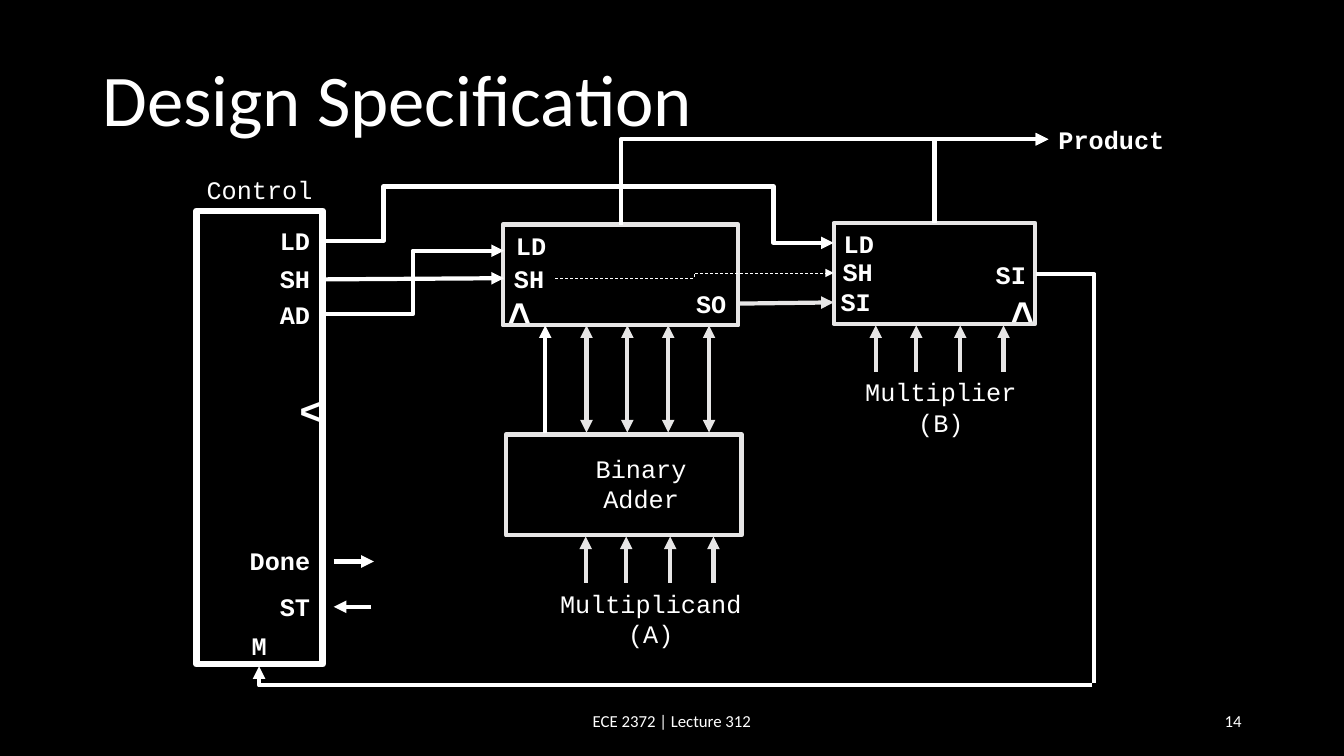
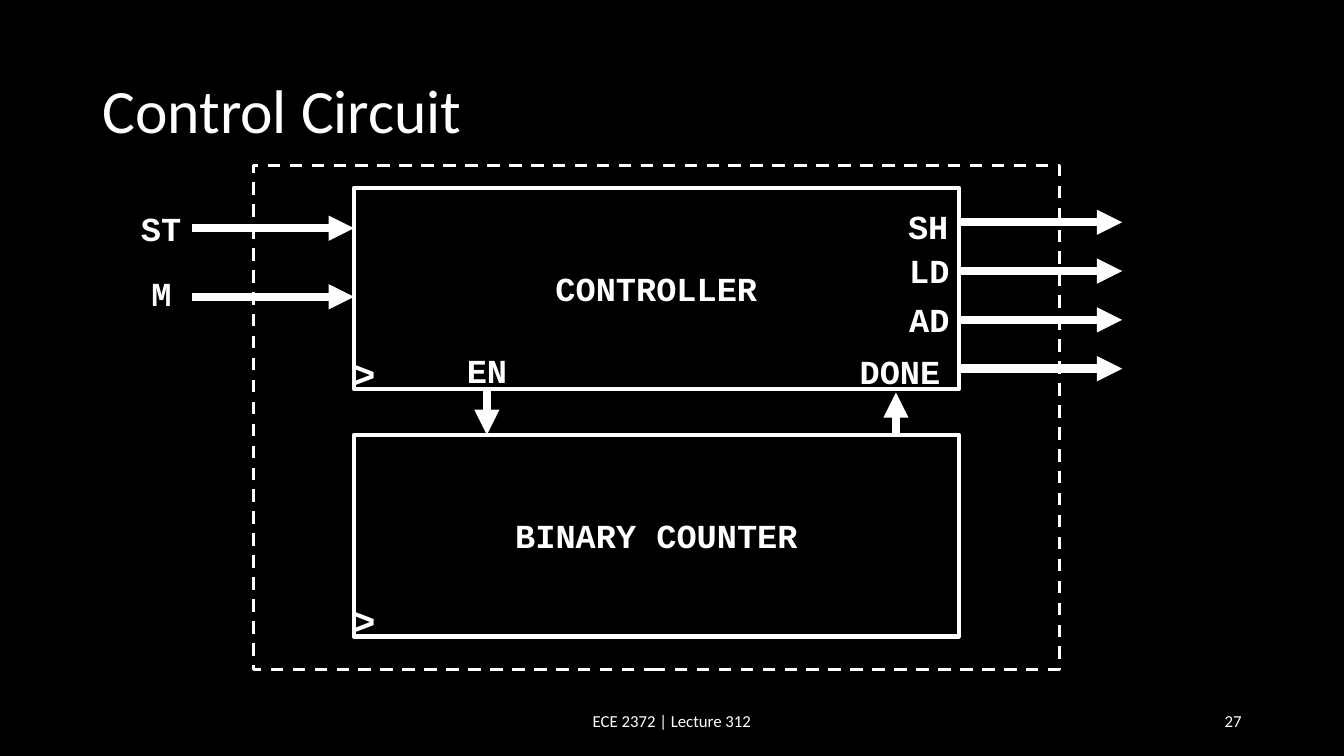
import pptx
import pptx.dml.color
import pptx.enum.dml
import pptx.enum.shapes
import pptx.enum.text
import pptx.oxml.ns
import pptx.util
from lxml import etree

Cm, Pt = pptx.util.Cm, pptx.util.Pt
qn = pptx.oxml.ns.qn
ALIGN = pptx.enum.text.PP_ALIGN
ANCHOR = pptx.enum.text.MSO_ANCHOR
DASH = pptx.enum.dml.MSO_LINE.DASH
KIND = pptx.enum.shapes.MSO_CONNECTOR

BLACK, WHITE, GREY = "000000", "FFFFFF", "E7E6E6"
SANS, MONO = "Calibri", "Courier New"
FOOTER = "ECE 2372 | Lecture 312"
PIN = {"size": Pt(18), "bold": True}
CAPTION = {"size": Pt(18), "bold": False}
BIG = {"size": Pt(24), "bold": True}
CLOCK = {"size": Pt(28), "bold": True}


def rgb(value):
    return pptx.dml.color.RGBColor.from_string(value)


def apply(obj, values):
    for name, value in values.items():
        setattr(obj, name, value)


# Shared text, box and wire helpers; lengths in centimetres
def text_box(s, text, x, y, w, h, font, para, frame):
    sp = s.shapes.add_textbox(Cm(x), Cm(y), Cm(w), Cm(h))
    tf = sp.text_frame
    apply(tf, frame)
    for i, line in enumerate(text.split("\n")):
        p = tf.add_paragraph() if i else tf.paragraphs[0]
        apply(p, para)
        r = p.add_run()
        r.text = line
        apply(r.font, font)
        r.font.color.rgb = rgb(WHITE)
    return sp


def label_width(text, font):
    longest = max(len(line) for line in text.split("\n"))
    return Pt(longest * 0.6 * font["size"].pt + 14.4).cm


def label(s, text, x, y, font=PIN, rotation=0):
    lines = text.count("\n") + 1
    h = Pt(lines * 1.2 * font["size"].pt + 7.2).cm
    sp = text_box(s, text, x, y, label_width(text, font), h, {"name": MONO, **font},
                  {"alignment": ALIGN.CENTER}, {"word_wrap": False})
    sp.rotation = rotation


def centred(s, text, cx, y, font):
    label(s, text, cx - label_width(text, font) / 2, y, font)


def labels(s, x, y, items, font=PIN):
    for text, dx, dy in items:
        label(s, text, x + dx, y + dy, font)


def outline(s, x, y, w, h, color=WHITE, width=3, dash=None):
    sp = s.shapes.add_shape(pptx.enum.shapes.MSO_SHAPE.RECTANGLE, Cm(x), Cm(y), Cm(w), Cm(h))
    sp.shadow.inherit = False
    sp.fill.background()
    sp.line.color.rgb = rgb(color)
    apply(sp.line, {"width": Pt(width), "dash_style": dash})


def wire(s, x1, y1, x2, y2, ends="tail", color=WHITE, width=3, dash=None, bend=None, adj=None):
    """bend: None is straight, 2 turns once, 3 turns twice."""
    kind = KIND.ELBOW if bend else KIND.STRAIGHT
    c = s.shapes.add_connector(kind, Cm(x1), Cm(y1), Cm(x2), Cm(y2))
    c.line.color.rgb = rgb(color)
    apply(c.line, {"width": Pt(width), "dash_style": dash})
    spPr = c._element.spPr
    if bend:
        geom = spPr.find(qn("a:prstGeom"))
        geom.set("prst", f"bentConnector{bend}")
        if adj:
            gd = etree.SubElement(geom.find(qn("a:avLst")), qn("a:gd"))
            gd.set("name", "adj1")
            gd.set("fmla", f"val {adj}")
    for end in ends.split():
        etree.SubElement(spPr.find(qn("a:ln")), qn(f"a:{end}End")).set("type", "triangle")
    etree.SubElement(spPr, qn("a:effectLst"))


def new_slide(prs, title, number, size, top, height):
    s = prs.slides.add_slide(prs.slide_layouts[6])
    s.background.fill.solid()
    s.background.fill.fore_color.rgb = rgb(BLACK)
    frame = {"word_wrap": True, "vertical_anchor": ANCHOR.MIDDLE}
    text_box(s, title, 2.33, top, 29.21, height, {"name": SANS, "size": Pt(size)},
             {"line_spacing": 0.9}, frame)
    for text, x, w, align in ((FOOTER, 11.22, 11.43, ALIGN.CENTER),
                              (number, 23.92, 7.62, ALIGN.RIGHT)):
        text_box(s, text, x, 17.66, w, 1.02, {"name": SANS, "size": Pt(12)},
                 {"alignment": align}, frame)
    return s


# Parts of the multiplier diagram
def operand(s, x, y, name):
    """Four input arrows pointing up to y, with the operand's name below."""
    for dx in (0, 1.02, 2.13, 3.22):
        wire(s, x + dx, y + 1.17, x + dx, y, color=GREY)
    centred(s, name, x + 1.64, y + 1.17, CAPTION)


def control(s, x, y, w, h):
    outline(s, x, y, w, h, width=4.5)
    centred(s, "Control", x + w / 2, y - 1.04, CAPTION)
    labels(s, x, y, (("LD", 1.85, 0.25), ("SH", 1.85, 1.19), ("AD", 1.85, 2.11),
                     ("Done", 1.09, 8.3), ("ST", 1.85, 9.47), ("M", 1.14, 10.44)))
    label(s, ">", x + 2.34, y + 4.42, CLOCK, 180)
    wire(s, x + 3.46, y + 8.84, x + 4.47, y + 8.84)
    wire(s, x + 4.4, y + 9.98, x + 3.46, y + 9.98)


def accumulator(s, x, y, w, h):
    outline(s, x, y, w, h, GREY)
    label(s, ">", x - 0.2, y + 1.52, CLOCK, 270)
    labels(s, x, y, (("LD", 0.08, 0.03), ("SH", 0.03, 0.84), ("SO", 4.62, 1.47)))


def multiplier(s, x, y, w, h):
    outline(s, x, y, w, h, GREY)
    operand(s, x + 1.06, y + h + 0.04, "Multiplier\n(B)")
    label(s, ">", x + 4.14, y + 1.54, CLOCK, 270)
    labels(s, x, y, (("LD", 0, 0), ("SH", -0.03, 0.71), ("SI", -0.08, 1.47), ("SI", 3.83, 0.79)))


def adder(s, x, y, w, h):
    outline(s, x, y, w, h, GREY)
    label(s, "Binary\nAdder", x + 2.01, y + 0.35, CAPTION)
    operand(s, x + 2.01, y + h + 0.03, "Multiplicand\n(A)")
    # Sum bits, then carry
    for i in range(4):
        bit = x + 2.03 + 1.03 * i
        wire(s, bit, y - 2.75, bit, y - 0.05, "head tail", GREY)
    wire(s, x + 0.99, y - 0.05, x + 0.99, y - 2.75)


def design_slide(prs):
    s = new_slide(prs, "Design Specification", "14", 52, 0.5, 4.2)
    multiplier(s, 21.01, 5.62, 5.08, 2.54)
    accumulator(s, 12.67, 5.66, 5.94, 2.54)
    adder(s, 12.75, 10.95, 5.94, 2.54)
    control(s, 4.95, 5.31, 3.18, 11.43)
    # Control signals
    wire(s, 8.1, 7.92, 12.7, 6.32, bend=3)
    wire(s, 8.15, 7.04, 12.7, 7.01)
    wire(s, 8.1, 6.07, 11.23, 4.7, "", bend=3)
    wire(s, 11.23, 4.7, 21.01, 6.12, bend=3, adj=84500)
    # Shift path and feedback to M
    wire(s, 18.62, 7.65, 21.01, 7.62, color=GREY)
    wire(s, 14, 7.01, 21.01, 6.88, width=0.5, dash=DASH, bend=3)
    wire(s, 26.11, 6.91, 27.58, 17.22, "", bend=2)
    wire(s, 27.53, 17.27, 6.53, 16.79, bend=2)
    # Product output
    label(s, "Product", 26.42, 3)
    wire(s, 26.42, 3.51, 15.65, 5.66, "head", bend=2)
    wire(s, 26.42, 3.51, 23.55, 5.62, "head", bend=2)


# Parts of the control circuit
def block(s, x, y, w, h, name):
    outline(s, x, y, w, h)
    centred(s, name, x + w / 2, y + 1.9, BIG)
    label(s, ">", x - 0.3, y + 3.95, CLOCK)


def controller(s, x, y, w, h):
    block(s, x, y, w, h, "CONTROLLER")
    labels(s, x, y, (("ST", -5.62, 0.38), ("M", -5.36, 2.03), ("SH", 13.71, 0.33),
                     ("LD", 13.74, 1.45), ("AD", 13.74, 2.67), ("EN", 2.59, 3.97),
                     ("DONE", 12.49, 3.99)), BIG)
    for dy in (1.02, 2.75):
        wire(s, x - 4.09, y + dy, x, y + dy, width=6)
    for i in range(4):
        out = y + 0.87 + 1.23 * i
        wire(s, x + w, out, x + w + 4.12, out, width=6)


def control_circuit(s, x, y, w, h):
    outline(s, x, y, w, h, width=2.25, dash=DASH)
    left, top, bw, bh, gap = x + 2.54, y + 0.56, 15.24, 5.08, 1.15
    controller(s, left, top, bw, bh)
    block(s, left, top + bh + gap, bw, bh, "BINARY COUNTER")
    # Enable down, done up
    wire(s, left + 3.35, top + bh, left + 3.35, top + bh + gap, width=6)
    wire(s, left + 13.66, top + bh + gap, left + 13.66, top + bh + 0.08, width=6)


def circuit_slide(prs):
    s = new_slide(prs, "Control Circuit", "27", 44, 1.02, 3.67)
    control_circuit(s, 6.38, 4.17, 20.32, 12.7)


def main():
    prs = pptx.Presentation()
    apply(prs, {"slide_width": Cm(33.87), "slide_height": Cm(19.05)})
    design_slide(prs)
    circuit_slide(prs)
    prs.save("out.pptx")


if __name__ == "__main__":
    main()
